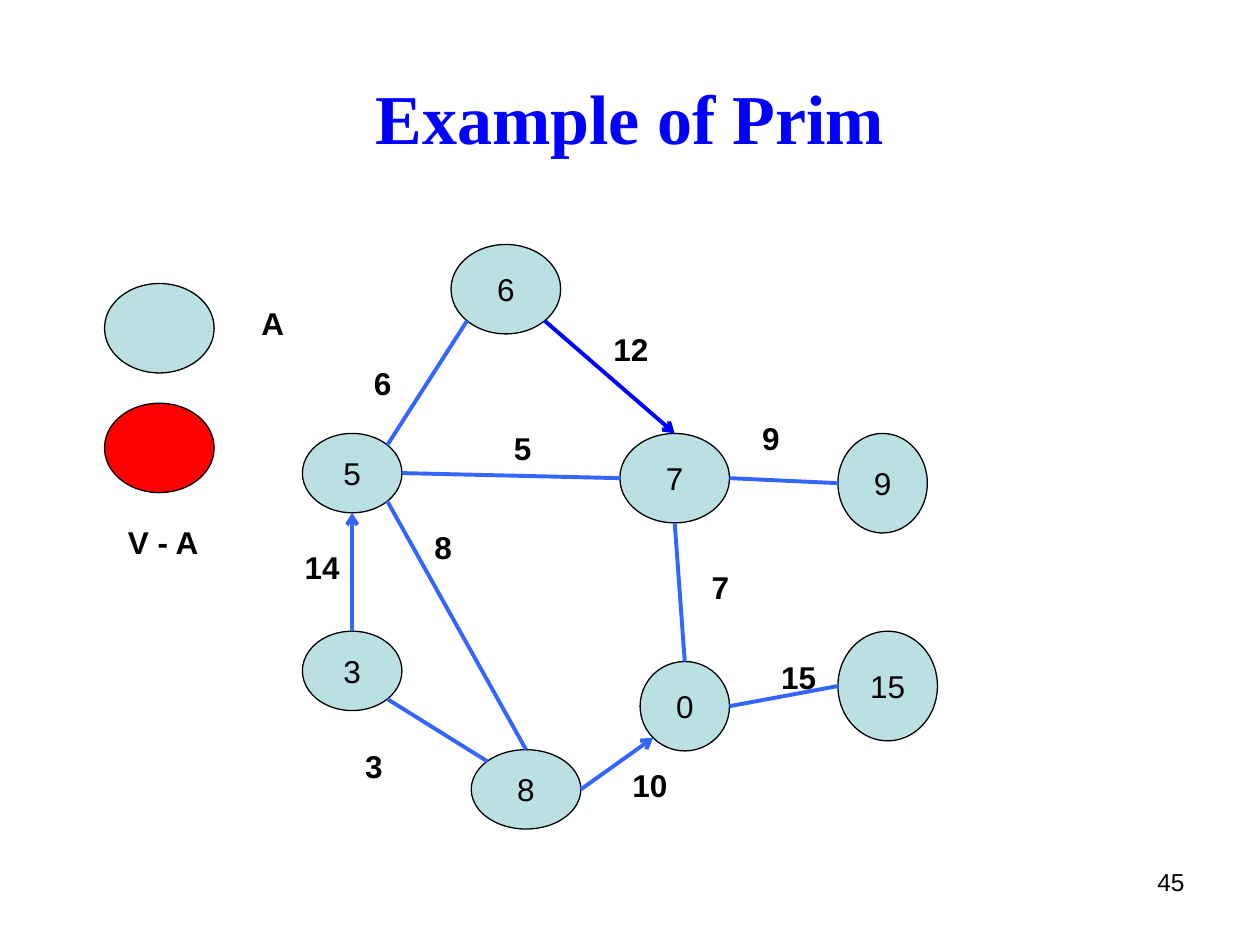
from math import cos, radians, sin

from lxml import etree
from pptx import Presentation
from pptx.dml.color import RGBColor
from pptx.enum.shapes import MSO_CONNECTOR, MSO_SHAPE
from pptx.enum.text import MSO_ANCHOR, PP_ALIGN
from pptx.oxml.ns import qn
from pptx.util import Inches, Pt

BLACK, BLUE, EDGE_BLUE = "000000", "0000FF", "3366FF"
PALE, RED = "BBE0E3", "FF0000"

# Directions on an ellipse, in degrees clockwise from the right
ANGLES = {"E": 0, "SE": 45, "S": 90, "SW": 135, "W": 180, "NW": 225, "N": 270, "NE": 315}

# Vertex: left, top, width, height within the graph
NODES = {
    "6": (1.28, 0.04, 0.87, 0.71),
    "5": (0.1, 1.54, 0.79, 0.63),
    "3": (0.1, 3.11, 0.79, 0.63),
    "7": (2.62, 1.54, 0.87, 0.71),
    "0": (2.78, 3.35, 0.71, 0.71),
    "8": (1.44, 4.05, 0.87, 0.63),
    "9": (4.35, 1.54, 0.71, 0.79),
    "15": (4.35, 3.11, 0.79, 0.87),
}

# Start vertex and side, end vertex and side, arrow, colour, weight, label left and top
EDGES = [
    ("5", "NE", "6", "SW", False, EDGE_BLUE, "6", 0.57, 0.94),
    ("3", "N", "5", "S", True, EDGE_BLUE, "14", 0.02, 2.4),
    ("3", "SE", "8", "NW", False, EDGE_BLUE, "3", 0.5, 3.98),
    ("8", "E", "0", "SW", True, EDGE_BLUE, "10", 2.62, 4.13),
    ("6", "SE", "7", "N", True, BLUE, "12", 2.47, 0.67),
    ("7", "S", "0", "N", False, EDGE_BLUE, "7", 3.25, 2.56),
    ("0", "E", "15", "W", False, EDGE_BLUE, "15", 3.8, 3.27),
    ("7", "E", "9", "W", False, EDGE_BLUE, "9", 3.65, 1.38),
    ("5", "E", "7", "W", False, EDGE_BLUE, "5", 1.68, 1.46),
    ("5", "SE", "8", "N", False, EDGE_BLUE, "8", 1.05, 2.24),
]


def rgb(value):
    return RGBColor.from_string(value)


def set_text(sp, text, size=18, bold=False, color=BLACK, font="Arial",
             align=PP_ALIGN.CENTER, anchor=MSO_ANCHOR.MIDDLE, wrap=False):
    tf = sp.text_frame
    tf.text = text
    tf.word_wrap = wrap
    tf.vertical_anchor = anchor
    p = tf.paragraphs[0]
    p.alignment = align
    f = p.runs[0].font
    f.name, f.size, f.bold = font, Pt(size), bold
    f.color.rgb = rgb(color)


def add_text(s, box, text, **style):
    sp = s.shapes.add_textbox(*map(Inches, box))
    set_text(sp, text, **style)


def add_ellipse(s, box, fill, text=""):
    sp = s.shapes.add_shape(MSO_SHAPE.OVAL, *map(Inches, box))
    sp.shadow.inherit = False
    sp.fill.solid()
    sp.fill.fore_color.rgb = rgb(fill)
    sp.line.color.rgb = rgb(BLACK)
    sp.line.width = Pt(0.75)
    if text:
        set_text(sp, text)


def rim_point(box, side):
    """Return the point on an ellipse's outline in the given direction."""
    left, top, width, height = box
    angle = radians(ANGLES[side])
    return (left + width / 2 * (1 + cos(angle)), top + height / 2 * (1 + sin(angle)))


def add_edge(s, start, end, color, arrow):
    line = s.shapes.add_connector(MSO_CONNECTOR.STRAIGHT, *map(Inches, start + end))
    line.line.color.rgb = rgb(color)
    line.line.width = Pt(2.25)
    if arrow:
        etree.SubElement(line.line._get_or_add_ln(), qn("a:tailEnd"), type="arrow")
    etree.SubElement(line._element.spPr, qn("a:effectLst"))


def add_graph(s, left, top):
    boxes = {name: (left + x, top + y, w, h) for name, (x, y, w, h) in NODES.items()}
    for name, box in boxes.items():
        add_ellipse(s, box, PALE, name)
    for a, a_side, b, b_side, arrow, color, weight, x, y in EDGES:
        add_edge(s, rim_point(boxes[a], a_side), rim_point(boxes[b], b_side), color, arrow)
        width = 0.2 + 0.14 * len(weight)
        add_text(s, (left + x, top + y, width, 0.4), weight, bold=True,
                 align=PP_ALIGN.LEFT, anchor=MSO_ANCHOR.TOP)


def add_legend(s, left, top):
    for row, fill in enumerate((PALE, RED)):
        add_ellipse(s, (left, top + 0.95 * row, 0.87, 0.71), fill)
    add_text(s, (left + 0.94, top, 0.79, 0.63), "A", bold=True)
    add_text(s, (left + 0.07, top + 1.74, 0.79, 0.63), "V - A", bold=True)


def main():
    prs = Presentation()
    prs.slide_width, prs.slide_height = Inches(10), Inches(7.5)
    s = prs.slides.add_slide(prs.slide_layouts[6])
    add_text(s, (0.5, 0.3, 9, 1.25), "Example of Prim", size=40, bold=True,
             color=BLUE, font="Times New Roman", wrap=True)
    add_graph(s, 2.3, 1.9)
    add_legend(s, 0.83, 2.25)
    add_text(s, (7.17, 6.83, 2.33, 0.52), "45", size=14, align=PP_ALIGN.RIGHT,
             anchor=MSO_ANCHOR.TOP, wrap=True)
    prs.save("out.pptx")


if __name__ == "__main__":
    main()
